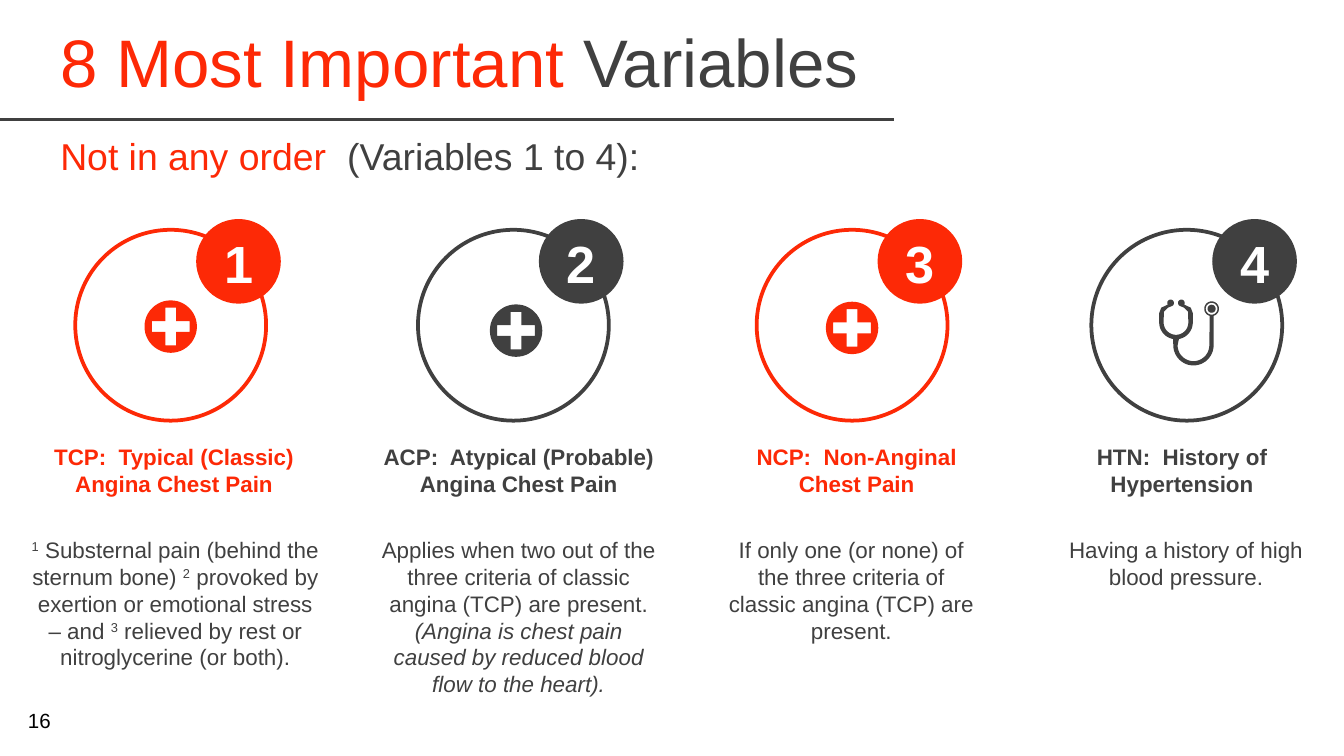
from math import cos, radians, sin

from lxml import etree
from pptx import Presentation
from pptx.dml.color import RGBColor
from pptx.enum.shapes import MSO_CONNECTOR, MSO_SHAPE
from pptx.enum.text import MSO_ANCHOR, PP_ALIGN
from pptx.oxml.ns import qn
from pptx.util import Inches, Pt

STRAIGHT = MSO_CONNECTOR.STRAIGHT
OVAL = MSO_SHAPE.OVAL
TOP, MIDDLE = MSO_ANCHOR.TOP, MSO_ANCHOR.MIDDLE
LEFT, CENTER = PP_ALIGN.LEFT, PP_ALIGN.CENTER

COLORS = {"red": "FD2906", "gray": "404040", "white": "FFFFFF", "black": "000000"}
FONT = "Arial"

# Rows of the grid, in inches from the top
ROWS = {"title": 0.14, "rule": 0.89, "subtitle": 0.84, "badge": 1.63,
        "ring": 1.71, "heading": 3.25, "body": 3.94, "number": 5.22}
RING, BADGE = 1.42, 0.63
CROSS_DIAMETER, CROSS_ARM, CROSS_HALF = 0.39, 0.14, 0.04
LINE_HEIGHT, PADDING = 0.2, 0.1

# One entry per column; a run is (text, style)
VARIABLES = [
    {"color": "red", "ring": 0.56, "heading_left": 0.12, "body_left": 0.13, "width": 2.35,
     "lines": 5, "cross": (1.27, 2.43), "heading": "TCP:  Typical (Classic) Angina Chest Pain",
     "body": [("1", "super"), (" Substernal pain (behind the sternum bone) ", ""),
              ("2", "super"), (" provoked by exertion or emotional stress – and ", ""),
              ("3", "super"), (" relieved by rest or nitroglycerine (or both).", "")]},
    {"color": "gray", "ring": 3.11, "heading_left": 2.72, "body_left": 2.72, "width": 2.28,
     "lines": 6, "cross": (3.84, 2.46), "heading": "ACP:  Atypical (Probable) Angina Chest Pain",
     "body": [("Applies when two out of the three criteria of classic angina (TCP) are present. ", ""),
              ("(Angina is chest pain caused by reduced blood flow to the heart).", "italic")]},
    {"color": "red", "ring": 5.63, "heading_left": 5.31, "body_left": 5.27, "width": 2.13,
     "lines": 4, "cross": (6.34, 2.44), "heading": "NCP:  Non-Anginal Chest Pain",
     "body": [("If only one (or none) of the three criteria of classic angina (TCP) are present.", "")]},
    {"color": "gray", "ring": 8.12, "heading_left": 7.77, "body_left": 7.8, "width": 2.05,
     "lines": 2, "cross": None, "heading": "HTN:  History of Hypertension",
     "body": [("Having a history of high blood pressure.", "")]},
]


def rgb(color):
    return RGBColor.from_string(COLORS[color])


def paint(shape, fill=None, line=None):
    """Give a shape a flat fill or a 2 pt outline."""
    shape.shadow.inherit = False
    if fill:
        shape.fill.solid()
        shape.fill.fore_color.rgb = rgb(fill)
    else:
        shape.fill.background()
    if line:
        shape.line.color.rgb = rgb(line)
        shape.line.width = Pt(2)
    else:
        shape.line.fill.background()


def add_text(shapes, box, runs, size, align=LEFT, anchor=TOP, wrap=True):
    """Add a text box; each run is (text, color, style)."""
    frame = shapes.add_textbox(*map(Inches, box)).text_frame
    frame.word_wrap = wrap
    frame.vertical_anchor = anchor
    paragraph = frame.paragraphs[0]
    paragraph.alignment = align
    for text, color, style in runs:
        run = paragraph.add_run()
        run.text = text
        run.font.name = FONT
        run.font.size = Pt(size)
        run.font.color.rgb = rgb(color)
        run.font.bold = style == "bold"
        run.font.italic = style == "italic"
        if style == "super":
            run.font._element.set("baseline", "30000")


def add_rule(slide):
    y = Inches(ROWS["rule"])
    rule = slide.shapes.add_connector(STRAIGHT, Inches(-0.01), y, Inches(6.65), y)
    rule.line.color.rgb = rgb("gray")
    rule.line.width = Pt(1.5)
    etree.SubElement(rule._element.spPr, qn("a:effectLst"))


def arc(x, y, radius, start, end, steps=24):
    """Points along an arc; 90 degrees is the bottom."""
    angles = [radians(start + (end - start) * i / steps) for i in range(steps + 1)]
    return [(x + radius * cos(angle), y + radius * sin(angle)) for angle in angles]


def add_outline(slide, contours, color):
    """Add closed contours, in inches, as one filled shape with holes."""
    contours = [[(Inches(x), Inches(y)) for x, y in contour] for contour in contours]
    builder = slide.shapes.build_freeform(*contours[0][0], scale=1.0)
    for number, contour in enumerate(contours):
        if number:
            builder.move_to(*contour[0])
        builder.add_line_segments(contour[1:], close=True)
    paint(builder.convert_to_shape(), fill=color)


def add_cross(slide, center, color):
    """Disc with a plus cut out of it."""
    x, y = center
    arm, half = CROSS_ARM, CROSS_HALF
    quarter = [(-half, -arm), (-half, -half), (-arm, -half)]
    plus = []
    for _ in range(4):
        plus += quarter
        quarter = [(dy, -dx) for dx, dy in quarter]
    add_outline(slide, [arc(x, y, CROSS_DIAMETER / 2, 0, 360, 48),
                        [(x + dx, y + dy) for dx, dy in plus]], color)


def add_stethoscope(slide, left, top, color):
    # Hundredths of an inch from the top left corner
    head = (39.5, 6.8)
    yoke, tube = (13, 17), (26, 34)
    body = [
        *arc(9, 2.5, 2.5, 150, 420), (7, 6), (4, 9),
        *arc(*yoke, 9.2, 180, 0), (22, 9), (19, 6),
        *arc(17, 2.5, 2.5, 120, 390), (24, 6), (25.5, 10),
        *arc(*yoke, 12.5, 0, 80),
        *arc(*tube, 11.8, 180, 0),
        *arc(*head, 5.5, 105, 435),
        *arc(*tube, 15, 0, 180),
        *arc(*yoke, 12.5, 100, 180), (0.5, 10), (2, 6),
    ]
    contours = [body, arc(*head, 4.4, 0, 360), arc(*head, 3, 0, 360)]
    add_outline(slide, [[(left + x / 100, top + y / 100) for x, y in contour]
                        for contour in contours], color)


def add_badge(slide, number, left, color):
    """Ring with a numbered disc on its upper right."""
    shapes = slide.shapes.add_group_shape().shapes
    ring = shapes.add_shape(OVAL, *map(Inches, (left, ROWS["ring"], RING, RING)))
    paint(ring, line=color)
    disc = shapes.add_shape(OVAL, *map(Inches, (left + 0.9, ROWS["badge"], BADGE, BADGE)))
    paint(disc, fill=color)
    add_text(shapes, (left + 1.01, ROWS["badge"] + 0.04, 0.42, 0.57),
             [(str(number), "white", "bold")], 28, wrap=False)


def add_description(slide, variable):
    """Body text with its heading above."""
    shapes = slide.shapes.add_group_shape().shapes
    width = variable["width"]
    height = variable["lines"] * LINE_HEIGHT + PADDING
    add_text(shapes, (variable["body_left"], ROWS["body"], width, height),
             [(text, "gray", style) for text, style in variable["body"]], 12, CENTER)
    add_text(shapes, (variable["heading_left"], ROWS["heading"], width, 0.5),
             [(variable["heading"], variable["color"], "bold")], 12, CENTER)


def main():
    presentation = Presentation()
    presentation.slide_width = Inches(10)
    presentation.slide_height = presentation.slide_width * 9 // 16
    slide = presentation.slides.add_slide(presentation.slide_layouts[6])

    # Title and subtitle
    add_rule(slide)
    add_text(slide.shapes, (0.35, ROWS["title"], 6.3, 0.63),
             [("8 Most Important ", "red", ""), ("Variables", "gray", "")], 36, anchor=MIDDLE)
    add_text(slide.shapes, (0.35, ROWS["subtitle"], 6.22, 0.63),
             [("Not in any order  ", "red", ""), ("(Variables 1 to 4):", "gray", "")],
             20, anchor=MIDDLE)

    # Four variables
    for number, variable in enumerate(VARIABLES, 1):
        add_badge(slide, number, variable["ring"], variable["color"])
        add_description(slide, variable)
        if variable["cross"]:
            add_cross(slide, variable["cross"], variable["color"])
        else:
            add_stethoscope(slide, 8.62, 2.23, variable["color"])

    # Page number
    add_text(slide.shapes, (0.11, ROWS["number"], 0.39, 0.29), [("16", "black", "")], 11)
    presentation.save("out.pptx")


if __name__ == "__main__":
    main()
